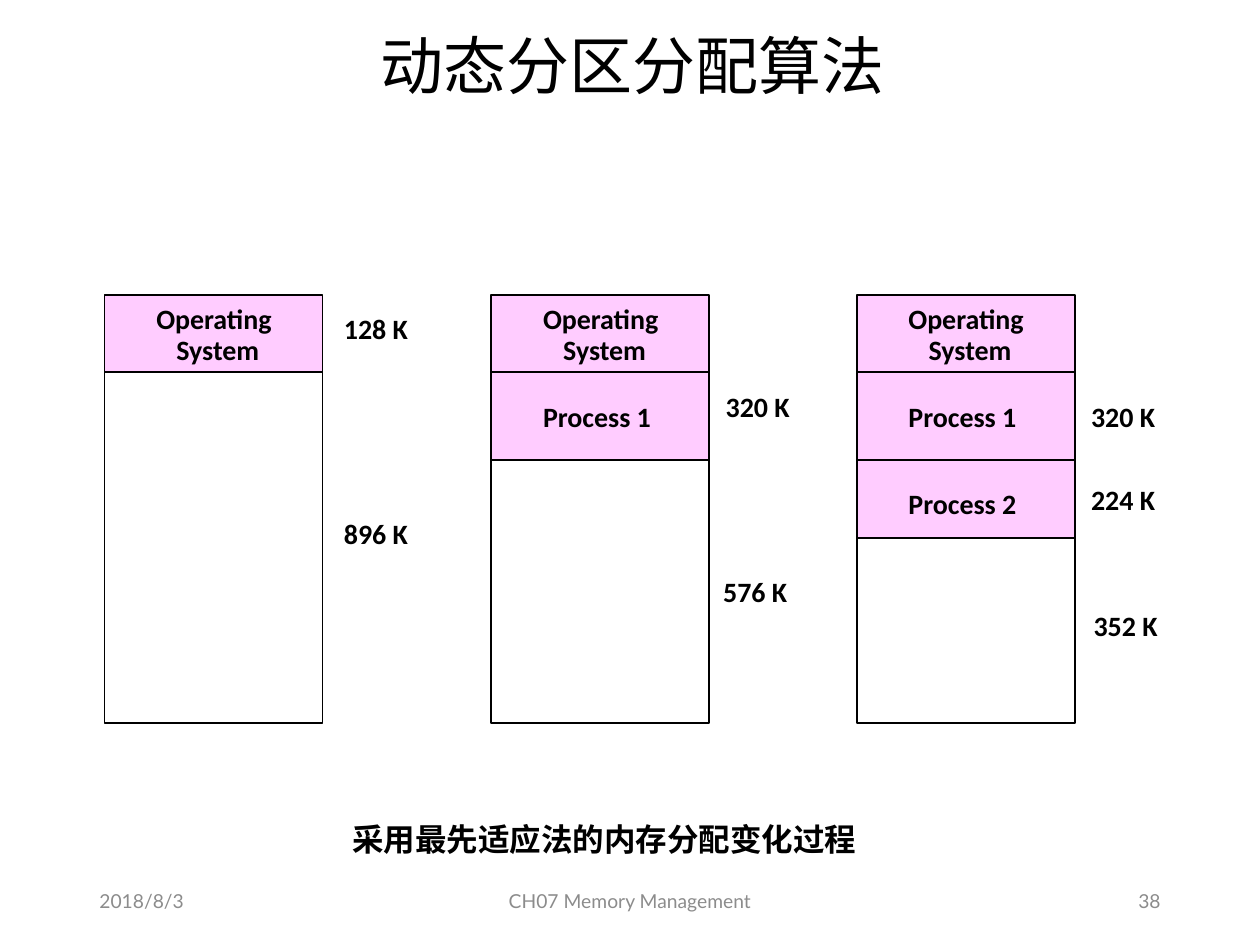
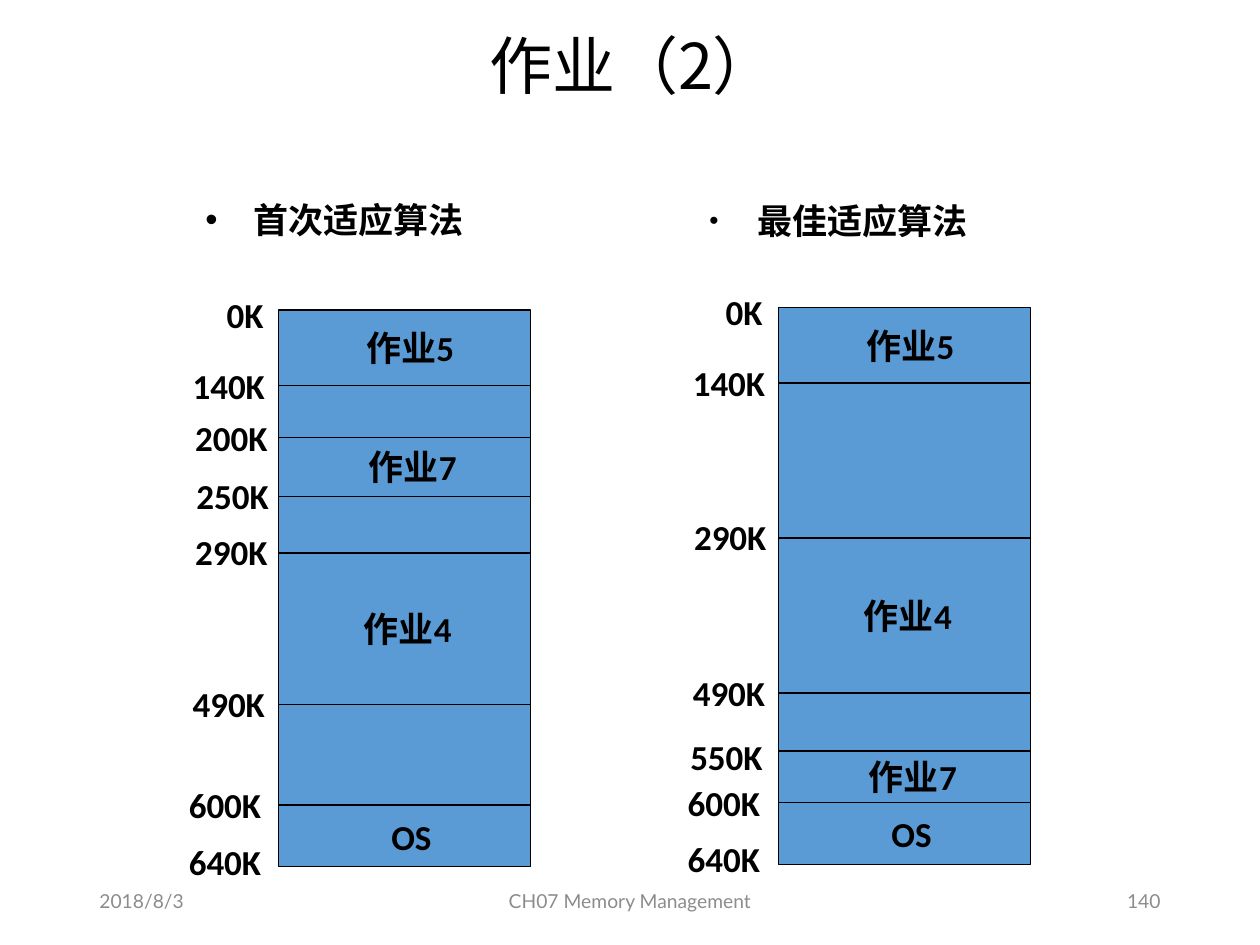
import pptx
import pptx.util
import pptx.dml.color
import pptx.enum.shapes
import pptx.enum.text
import pptx.oxml.ns
from lxml import etree

BLACK = pptx.dml.color.RGBColor(0x00, 0x00, 0x00)
GREY = pptx.dml.color.RGBColor(0x8C, 0x8C, 0x8C)
PINK = pptx.dml.color.RGBColor(0xFF, 0xCC, 0xFF)
BLUE = pptx.dml.color.RGBColor(0x5B, 0x9B, 0xD5)
CJK_FONT = "Noto Sans CJK SC"
LEFT = pptx.enum.text.PP_ALIGN.LEFT
CENTER = pptx.enum.text.PP_ALIGN.CENTER
RIGHT = pptx.enum.text.PP_ALIGN.RIGHT
MIDDLE = pptx.enum.text.MSO_ANCHOR.MIDDLE
qn = pptx.oxml.ns.qn

prs = pptx.Presentation()
prs.slide_width = pptx.util.Inches(10)
prs.slide_height = pptx.util.Inches(7.5)
COLUMN = prs.slide_width / 100
ROW = prs.slide_height / 75


def write(holder, box, text, size, bold=True, font="Calibri", colour=BLACK, align=LEFT, tight=False):
    left, top, width, height = box
    holder.left, holder.width = round(left * COLUMN), round(width * COLUMN)
    holder.top, holder.height = round(top * ROW), round(height * ROW)
    frame = holder.text_frame
    frame.word_wrap = not tight
    if tight:
        frame.margin_left = frame.margin_right = frame.margin_top = frame.margin_bottom = 0
    paragraph = frame.paragraphs[0]
    paragraph.text = text
    paragraph.alignment = align
    paragraph.space_before = pptx.util.Pt(0)
    paragraph.font.size = pptx.util.Pt(size)
    paragraph.font.bold = bold
    paragraph.font.color.rgb = colour
    paragraph.font.name = font
    defaults = paragraph._p.pPr.find(qn("a:defRPr"))
    etree.SubElement(defaults, qn("a:ea")).set("typeface", CJK_FONT)
    return paragraph


def draw_stack(slide, left, width, edges, blocks, weight):
    for bottom, fill, outlined in blocks:
        block = slide.shapes.add_shape(
            pptx.enum.shapes.MSO_SHAPE.RECTANGLE, round(left * COLUMN), round(edges[0] * ROW),
            round(width * COLUMN), round((bottom - edges[0]) * ROW))
        block.shadow.inherit = False
        if fill is None:
            block.fill.background()
        else:
            block.fill.solid()
            block.fill.fore_color.rgb = fill
        if outlined:
            block.line.color.rgb = BLACK
            block.line.width = pptx.util.Pt(weight)
        else:
            block.line.fill.background()
    for edge in edges[1:-1]:
        divider = slide.shapes.add_connector(
            pptx.enum.shapes.MSO_CONNECTOR.STRAIGHT, round(left * COLUMN), round(edge * ROW),
            round((left + width) * COLUMN), round(edge * ROW))
        divider.line.color.rgb = BLACK
        divider.line.width = pptx.util.Pt(weight)
        etree.SubElement(divider._element.spPr, qn("a:effectLst"))


allocation = prs.slides.add_slide(prs.slide_layouts[5])
homework = prs.slides.add_slide(prs.slide_layouts[3])

for slide, title, number in [(allocation, "动态分区分配算法", "38"), (homework, "作业（2）", "140")]:
    heading = write(slide.shapes.title, (7.1, 1.7, 86.2, 7.6), title, 36,
                    bold=False, font=CJK_FONT, align=CENTER)
    heading.line_spacing = 0.9
    for left, width, text, align in [(6.9, 22.5, "2018/8/3", LEFT),
                                     (33.1, 33.8, "CH07 Memory Management", CENTER),
                                     (70.6, 22.5, number, RIGHT)]:
        footer = slide.shapes.add_textbox(0, 0, 0, 0)
        write(footer, (left, 69.5, width, 4), text, 11, bold=False, font="Lato", colour=GREY, align=align)
        footer.text_frame.vertical_anchor = MIDDLE

MEMORY_EDGES = [23.4, 29.5, 36.5, 42.7]
MEMORY_END = 57.4
OCCUPANTS = [("Operating", 4.1, 23.9, 9.8), ("System", 5.7, 26.4, 6.8),
             ("Process 1", 4.1, 31.7, 8.8), ("Process 2", 4.1, 38.6, 8.8)]
memory_states = [
    (8.3, 1, [("128 K", 19, 24.7), ("896 K", 19, 41)]),
    (39, 2, [("320 K", 18.6, 30.9), ("576 K", 18.4, 45.6)]),
    (68, 3, [("320 K", 18.6, 31.7), ("224 K", 18.6, 38.3), ("352 K", 18.8, 48.3)]),
]
for left, used, sizes in memory_states:
    edges = MEMORY_EDGES[:used + 1] + [MEMORY_END]
    draw_stack(allocation, left, 17.3, edges,
               [(edges[used], PINK, False), (MEMORY_END, None, True)], 1)
    labels = OCCUPANTS[:used + 1] + [(size, indent, top, 5.6) for size, indent, top in sizes]
    for text, indent, top, width in labels:
        write(allocation.shapes.add_textbox(0, 0, 0, 0), (left + indent, top, width, 2.7),
              text, 16, tight=True)

write(allocation.shapes.add_textbox(0, 0, 0, 0), (19.6, 64.6, 56.7, 4),
      "采用最先适应法的内存分配变化过程", 18, align=CENTER)

JOB_INDENTS = {"作业5": 4.2, "作业4": 4, "作业7": 4.4, "OS": 4.3}
partitions = [
    ("首次适应算法", 15.3, 14.6, 100, 22.1,
     [("0K", 24.6, 5.1, 1.8, "作业5"), ("140K", 30.6, 7.8, 2.2, None),
      ("200K", 34.7, 7.6, 2.1, "作业7"), ("250K", 39.4, 7.5, 2.2, None),
      ("290K", 43.9, 7.6, 2.3, "作业4"), ("490K", 55.9, 7.8, 2.2, None),
      ("600K", 63.9, 8.1, 2.2, "OS"), ("640K", 68.8, 8.1, 2.6, None)]),
    ("最佳适应算法", 55.3, 14.7, 75, 61.8,
     [("0K", 24.4, 5.2, 1.8, "作业5"), ("140K", 30.4, 7.8, 2.2, None),
      ("290K", 42.7, 7.7, 2.3, "作业4"), ("490K", 55, 7.8, 2.2, None),
      ("550K", 59.6, 8, 1.7, "作业7"), ("600K", 63.7, 8.2, 2.2, "OS"),
      ("640K", 68.6, 8.2, 2.6, None)]),
]
bodies = list(homework.placeholders)[1:]
for body, (method, method_left, method_top, bullet_size, left, addresses) in zip(bodies, partitions):
    item = write(body, (method_left, method_top, 29.3, 6.7), method, 20)
    item.line_spacing = 1.2
    properties = item._p.pPr
    properties.set("marL", str(pptx.util.Inches(0.38)))
    properties.set("indent", str(-pptx.util.Inches(0.38)))
    defaults = properties.find(qn("a:defRPr"))
    for tag, key, value in [("a:buSzPct", "val", str(bullet_size * 1000)),
                            ("a:buFont", "typeface", "Arial"), ("a:buChar", "char", "•")]:
        defaults.addprevious(etree.Element(qn(tag), {key: value}))

    edges = [address[1] for address in addresses]
    draw_stack(homework, left, 20, edges, [(edges[-1], BLUE, True)], 0.75)
    for (address, edge, outdent, lift, job), next_edge in zip(addresses, edges[1:] + edges[-1:]):
        write(homework.shapes.add_textbox(0, 0, 0, 0),
              (left - outdent, edge - lift, 6.1 if address == "0K" else 9.2, 4.3), address, 20)
        if job:
            write(homework.shapes.add_textbox(0, 0, 0, 0),
                  (left + JOB_INDENTS[job], (edge + next_edge - 4.3) / 2, 12.5, 4.3),
                  job, 20, align=CENTER)

prs.save("out.pptx")
